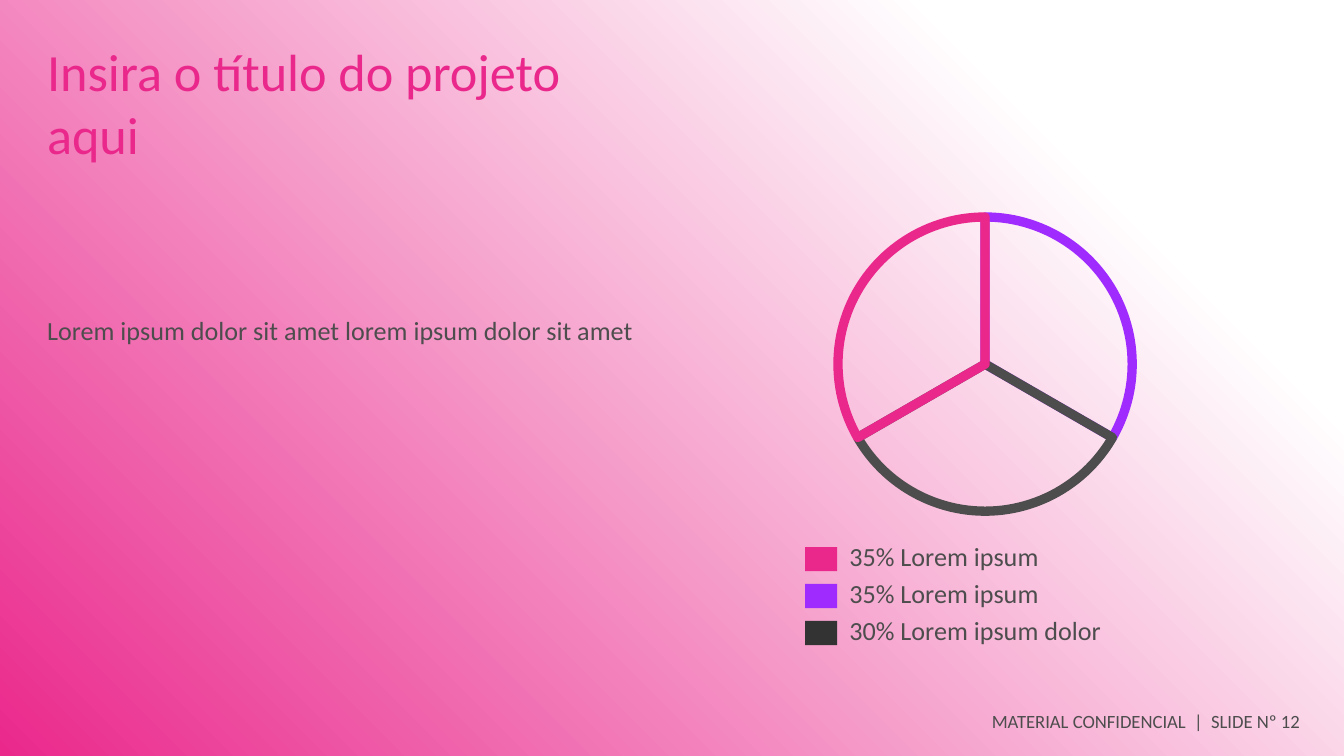
from typing import NamedTuple

from lxml.etree import SubElement
from pptx import Presentation
from pptx.chart.data import CategoryChartData as PieData
from pptx.dml.color import RGBColor
from pptx.enum.chart import XL_CHART_TYPE as Kind
from pptx.enum.shapes import MSO_SHAPE as Form
from pptx.enum.text import MSO_ANCHOR as Anchor, MSO_AUTO_SIZE as Fit, PP_ALIGN as Align
from pptx.oxml import parse_xml
from pptx.oxml.ns import nsdecls, qn
from pptx.util import Inches, Pt

PINK = RGBColor(0xEA, 0x28, 0x8C)
PURPLE = RGBColor(0xA0, 0x2B, 0xFF)
GREY = RGBColor(0x4D, 0x4D, 0x4D)
DARK = RGBColor(0x33, 0x33, 0x33)
WHITE = RGBColor(0xFF, 0xFF, 0xFF)
FONT = "Calibri"


class Box(NamedTuple):
    left: float
    top: float
    width: float
    height: float


class Entry(NamedTuple):
    label: str
    color: RGBColor


def place(shape, box: Box) -> None:
    shape.left, shape.top, shape.width, shape.height = map(Inches, box)


def write(shape, text: str, size: float, color: RGBColor,
          pitch: float | None = None) -> None:
    frame = shape.text_frame
    frame.text = text
    frame.word_wrap = True
    frame.auto_size = Fit.NONE
    frame.vertical_anchor = Anchor.TOP
    frame.margin_left = frame.margin_right = 0
    frame.margin_top = frame.margin_bottom = 0
    para = frame.paragraphs[0]
    para.alignment = Align.LEFT
    para.space_before = Pt(0)
    if pitch:
        para.line_spacing = Pt(pitch)
    font = para.runs[0].font
    font.name, font.size = FONT, Pt(size)
    font.color.rgb = color


def add_label(slide, box: Box, text: str, size: float, pitch: float | None = None) -> None:
    write(slide.shapes.add_textbox(*map(Inches, box)), text, size, GREY, pitch)


def add_entry(slide, entry: Entry, top: float) -> None:
    mark = slide.shapes.add_shape(Form.RECTANGLE, *map(Inches, (5.99, top, 0.24, 0.18)))
    mark.shadow.inherit = False
    mark.fill.solid()
    mark.fill.fore_color.rgb = entry.color
    mark.line.fill.background()
    add_label(slide, Box(6.32, top - 0.01, 3.6, 0.25), entry.label, 14, 14)


def add_pie(slide, box: Box, colors: list[RGBColor]) -> None:
    data = PieData()
    data.categories = ["1", "2", "3"]
    data.add_series("Series 1", [33] * 3)
    chart = slide.shapes.add_chart(Kind.PIE, *map(Inches, box), data).chart
    chart.has_legend = chart.has_title = False
    chart.font.name, chart.font.size = FONT, Pt(18)
    chart.font.color.rgb = WHITE
    plot = chart.plots[0]
    plot.vary_by_categories = False
    for index, color in enumerate(colors):
        style = plot.series[0].points[index].format
        style.fill.background()
        style.line.width = Pt(5)
        style.line.color.rgb = color

    # Centre the circle at a fixed diameter
    area = chart.element.find(".//" + qn("c:plotArea"))
    for old in area.findall(qn("c:layout")):
        area.remove(old)
    layout = parse_xml(f"<c:layout {nsdecls('c')}><c:manualLayout/></c:layout>")
    wide, high = 2.19 / box.width, 2.19 / box.height
    for tag, value in (("layoutTarget", "inner"), ("xMode", "edge"), ("yMode", "edge"),
                       ("x", (1 - wide) / 2), ("y", (1 - high) / 2),
                       ("w", wide), ("h", high)):
        SubElement(layout[0], qn("c:" + tag)).set("val", str(value))
    area.insert(0, layout)


def main() -> None:
    # Widescreen, 16 to 9
    deck = Presentation()
    deck.slide_width, deck.slide_height = Inches(10), Inches(10 * 9 / 16)
    slide = deck.slides.add_slide(deck.slide_layouts[1])

    # Background fading to white towards the top right
    fill = slide.background.fill
    fill.gradient()
    fill.gradient_angle = 45
    for stop, spot, color in zip(fill.gradient_stops, (0, 0.8), (PINK, WHITE)):
        stop.position = spot
        stop.color.rgb = color

    # Title and body
    title, body = slide.shapes.title, slide.placeholders[1]
    place(title, Box(0.35, 0.29, 4.16, 1.03))
    write(title, "Insira o título do projeto aqui", 28, PINK)
    place(body, Box(0.35, 2.38, 4.67, 1.31))
    write(body, "Lorem ipsum dolor sit amet lorem ipsum dolor sit amet", 14, GREY, 14)
    props = body.text_frame.paragraphs[0]._p.get_or_add_pPr()
    props.set("marL", "0")
    props.set("indent", "0")
    SubElement(props, qn("a:buNone"))

    # Pie and its legend
    add_pie(slide, Box(5.39, 1.48, 3.88, 2.46), [PURPLE, GREY, PINK])
    entries = [
        Entry("35% Lorem ipsum", PINK),
        Entry("35% Lorem ipsum", PURPLE),
        Entry("30% Lorem ipsum dolor", DARK),
    ]
    for row, entry in enumerate(entries):
        add_entry(slide, entry, 4.07 + row * 0.275)

    # Footer
    add_label(slide, Box(7.38, 5.28, 2.42, 0.19),
              "MATERIAL CONFIDENCIAL  |  SLIDE Nº 12", 10)

    deck.save("out.pptx")


if __name__ == "__main__":
    main()
